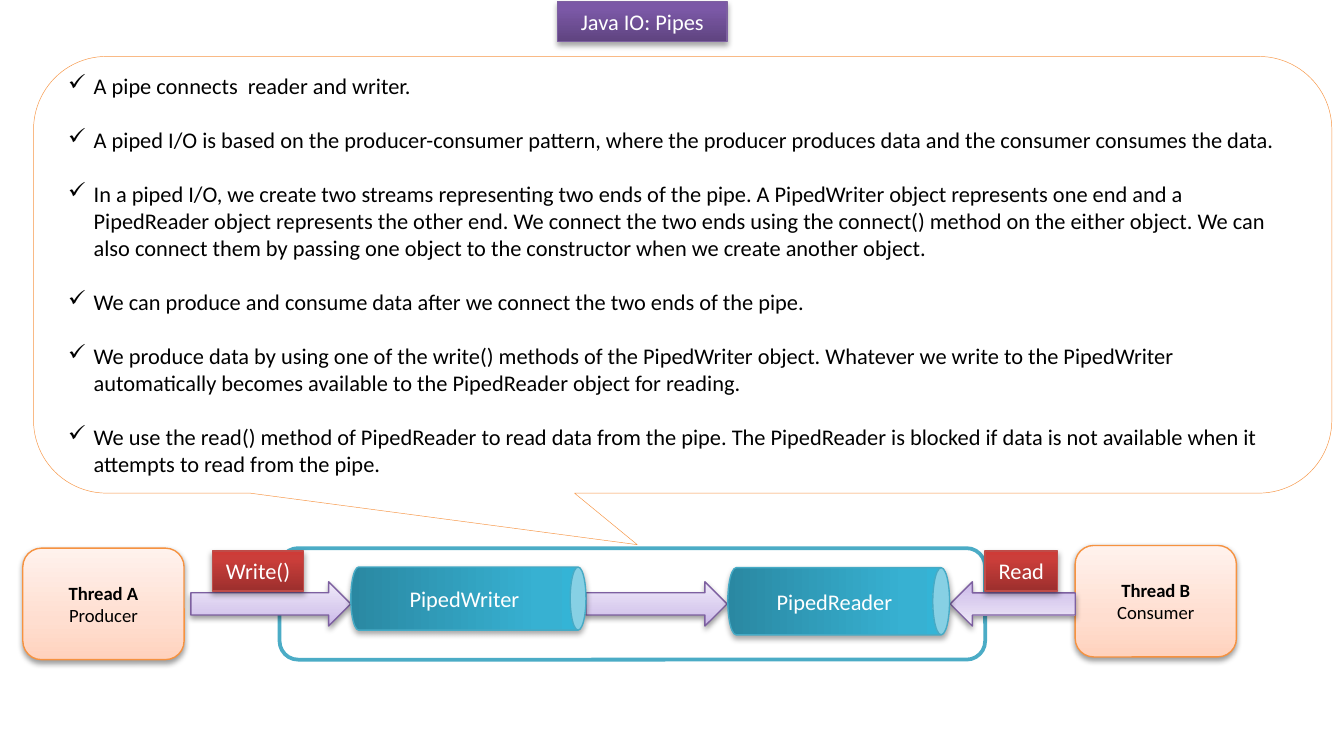
from dataclasses import dataclass
from typing import Optional

from lxml.etree import SubElement as Sub
from pptx import Presentation
from pptx.dml.color import RGBColor as RGB
from pptx.enum.shapes import MSO_SHAPE as Kind
from pptx.enum.text import MSO_ANCHOR as Anchor, PP_ALIGN as Align
from pptx.oxml.ns import qn
from pptx.util import Inches, Pt

INK = {"white": "FFFFFF", "black": "000000", "orange": "F79646", "aqua": "4BACC6"}


@dataclass(frozen=True)
class Look:
    """Gradient stops (percent, colour) from bottom to top, with line and shadow."""
    stops: tuple
    line: str
    alpha: int = 35
    drop: float = 1.8


LOOKS = {
    "purple": Look(((0, "5F4480"), (80, "7B58A6"), (100, "7C57A8")), "7D60A0"),
    "red": Look(((0, "9C2F2D"), (80, "CB3E3A"), (100, "CE3B37")), "BF4C48"),
    "aqua": Look(((0, "2A88A2"), (80, "37B1D2"), (100, "34B4D6")), "46AAC5"),
    "peach": Look(((0, "FFD2BD"), (35, "FFDED0"), (100, "FFF2ED")), "F69240", 38, 1.6),
    "lilac": Look(((0, "C9B5E8"), (35, "D8CBEE"), (100, "F0EAF9")), "7D60A0", 38, 1.6),
}


@dataclass(frozen=True)
class Part:
    kind: Kind
    look: str
    at: tuple
    lines: tuple = ()
    turn: int = 0
    size: int = 12
    ink: str = "white"
    lead: bool = False
    wrap: bool = True
    vert: Optional[str] = None


BOX, CARD, ARROW, CAN = Kind.RECTANGLE, Kind.ROUNDED_RECTANGLE, Kind.RIGHT_ARROW, Kind.CAN
TITLE = Part(BOX, "purple", (4.15, 0.01, 1.26, 0.3), ("Java IO: Pipes",))


def thread(x: float, y: float, name: str, role: str) -> Part:
    return Part(CARD, "peach", (x, y, 1.2, 0.83), (name, role),
                size=10, ink="black", lead=True)


def arrow(x: float, wide: float, turn: int = 0) -> Part:
    return Part(ARROW, "lilac", (x, 4.33, wide, 0.33), turn=turn)


def tag(x: float, wide: float, text: str) -> Part:
    return Part(BOX, "red", (x, 4.1, wide, 0.3), (text,), wrap=False)


def pipe(x: float, y: float, wide: float, high: float, text: str) -> Part:
    return Part(CAN, "aqua", (x, y, wide, high), (text,), turn=90, vert="vert270")


FLOW = (
    thread(0.17, 4.08, "Thread A", "Producer"),
    thread(8, 4.06, "Thread B", "Consumer"),
    arrow(1.42, 1.19), arrow(4.36, 1.05), arrow(7.07, 0.93, 180),
    tag(1.58, 0.68, "Write()"), tag(7.33, 0.54, "Read"),
    pipe(3.25, 3.58, 0.47, 1.75, "PipedWriter"),
    pipe(5.99, 3.65, 0.5, 1.65, "PipedReader"),
)

NOTES = (
    "A pipe connects  reader and writer.",
    "A piped I/O is based on the producer-consumer pattern, where the producer produces "
    "data and the consumer consumes the data.",
    "In a piped I/O, we create two streams representing two ends of the pipe. A PipedWriter "
    "object represents one end and a PipedReader object represents the other end. We connect "
    "the two ends using the connect() method on the either object. We can also connect them "
    "by passing one object to the constructor when we create another object.",
    "We can produce and consume data after we connect the two ends of the pipe.",
    "We produce data by using one of the write() methods of the PipedWriter object. Whatever "
    "we write to the PipedWriter automatically becomes available to the PipedReader object "
    "for reading.",
    "We use the read() method of PipedReader to read data from the pipe. The PipedReader is "
    "blocked if data is not available when it attempts to read from the pipe.",
)


def write(shape, lines: tuple, *, size: int = 12, ink: str = "white", lead: bool = False,
          align: Align = Align.CENTER, mark: str = "", gap: float = 0,
          wrap: bool = True) -> None:
    """Fill a shape with paragraphs; lead makes the first one bold, mark is the bullet."""
    frame = shape.text_frame
    frame.word_wrap = wrap
    frame.vertical_anchor = Anchor.MIDDLE
    for i, line in enumerate(lines):
        para = frame.add_paragraph() if i else frame.paragraphs[0]
        para.alignment = align
        if i and gap:
            para.space_before = Pt(gap)
        if mark:
            props = para._p.get_or_add_pPr()
            props.set("marL", str(Inches(0.19)))
            props.set("indent", str(Inches(-0.19)))
            Sub(props, qn("a:buChar"), char=mark)
        run = para.add_run()
        run.text = line
        font = run.font
        font.name, font.size, font.bold = "Calibri", Pt(size), lead and i == 0
        font.color.rgb = RGB.from_string(INK[ink])


def place(slide, kind: Kind, at: tuple, line: str, width: float):
    shape = slide.shapes.add_shape(kind, *map(Inches, at))
    shape.shadow.inherit = False
    shape.fill.solid()
    shape.fill.fore_color.rgb = RGB.from_string(INK["white"])
    shape.line.color.rgb = RGB.from_string(line)
    shape.line.width = Pt(width)
    return shape


def shade(shape, look: Look) -> None:
    shape.fill.gradient()
    shape.fill.gradient_angle = 90
    props = shape._element.spPr
    stops = props.find(".//" + qn("a:gsLst"))
    for old in list(stops):
        stops.remove(old)
    for pos, hue in look.stops:
        stop = Sub(stops, qn("a:gs"), pos=str(pos * 1000))
        Sub(stop, qn("a:srgbClr"), val=hue)
    cast = Sub(props.find(qn("a:effectLst")), qn("a:outerShdw"), blurRad=str(Pt(3.1)),
               dist=str(Pt(look.drop)), dir="5400000", rotWithShape="0")
    hue = Sub(cast, qn("a:srgbClr"), val=INK["black"])
    Sub(hue, qn("a:alpha"), val=str(look.alpha * 1000))


def draw(slide, part: Part) -> None:
    look = LOOKS[part.look]
    shape = place(slide, part.kind, part.at, look.line, 0.75)
    shade(shape, look)
    shape.rotation = part.turn
    if part.lines:
        write(shape, part.lines, size=part.size, ink=part.ink, lead=part.lead,
              wrap=part.wrap)
    if part.vert:
        shape.text_frame._txBody.bodyPr.set("vert", part.vert)


def main() -> None:
    deck = Presentation()
    deck.slide_width, deck.slide_height = Inches(10), Inches(5.5)
    slide = deck.slides.add_slide(deck.slide_layouts[6])

    draw(slide, TITLE)
    bubble = place(slide, Kind.ROUNDED_RECTANGULAR_CALLOUT, (0.25, 0.42, 9.66, 3.25),
                   INK["orange"], 0.25)
    for i, value in enumerate((-0.035, 0.618, 0.167)):
        bubble.adjustments[i] = value
    write(bubble, NOTES, ink="black", align=Align.LEFT, mark="✓", gap=14.6)
    place(slide, CARD, (2.08, 4.08, 5.25, 0.83), INK["aqua"], 2)
    for part in FLOW:
        draw(slide, part)

    deck.save("out.pptx")


if __name__ == "__main__":
    main()
